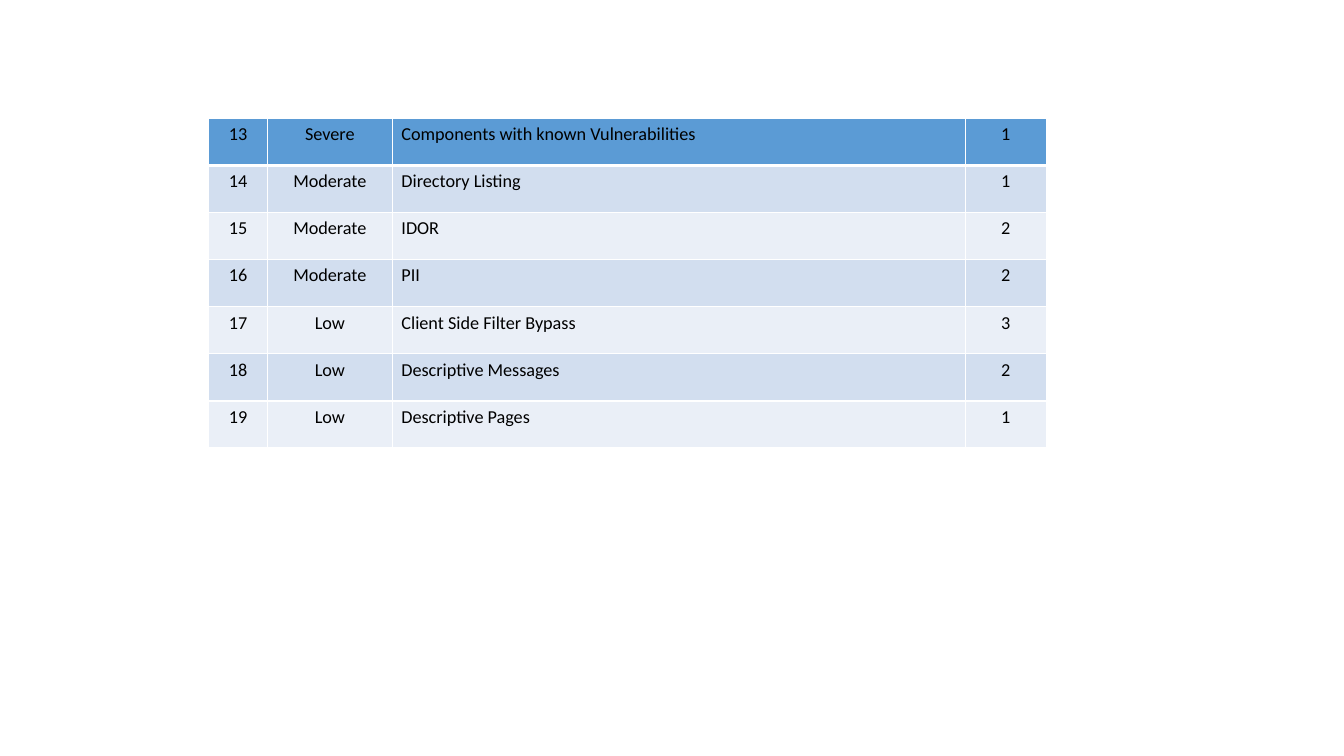
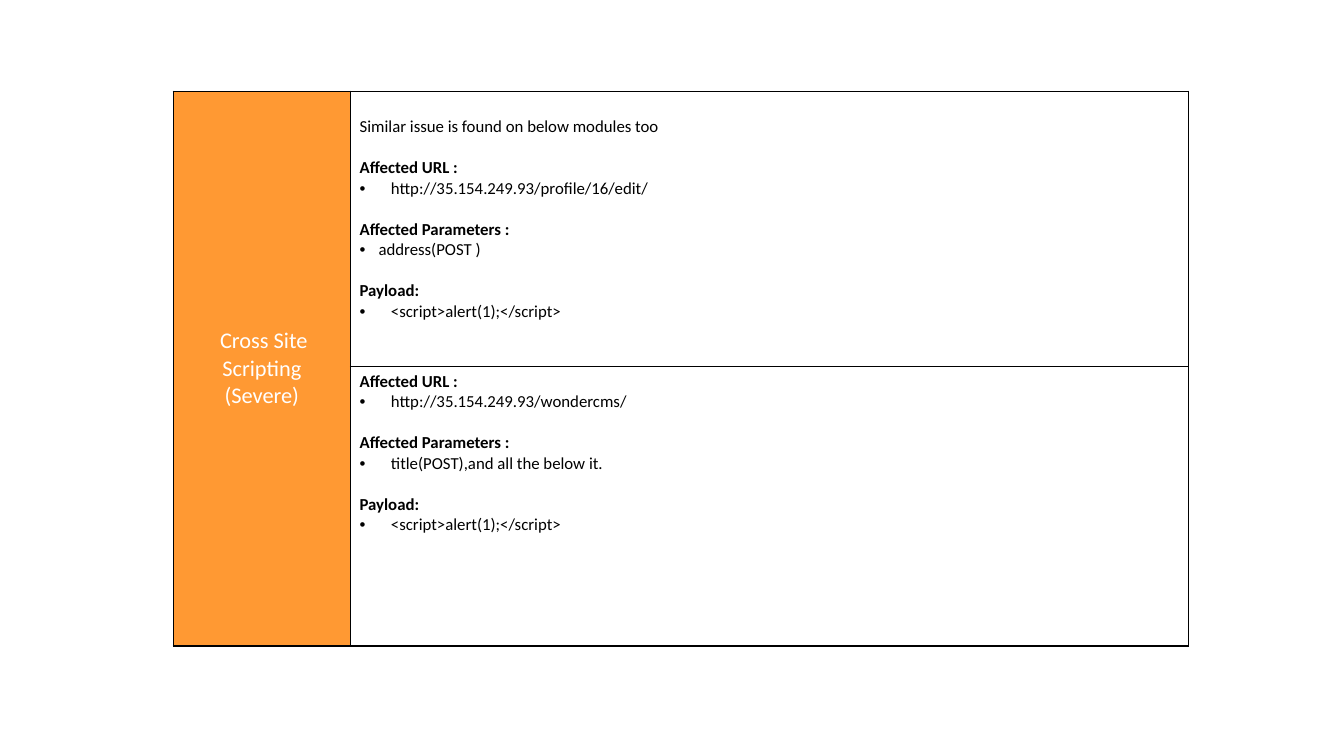
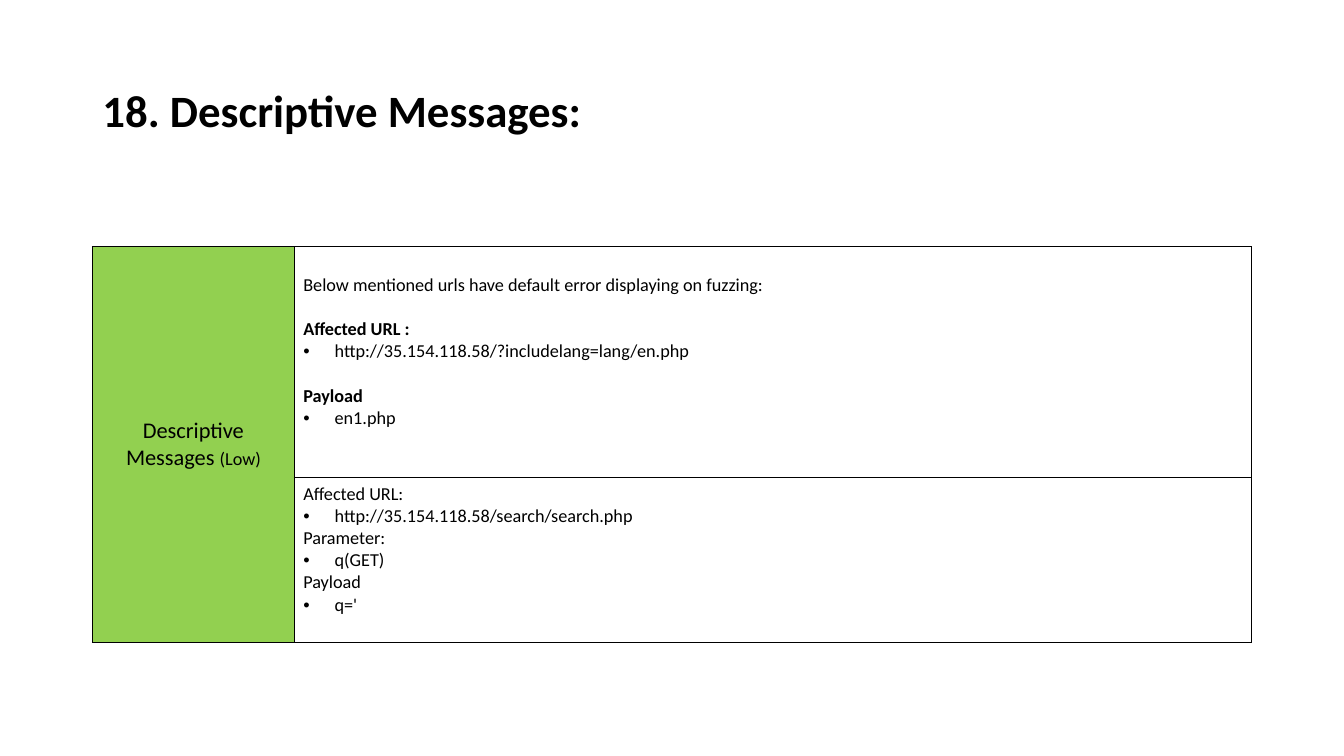
from lxml.etree import SubElement
from pptx import Presentation
from pptx.dml.color import RGBColor
from pptx.enum.text import MSO_ANCHOR, PP_ALIGN
from pptx.oxml import parse_xml
from pptx.oxml.ns import nsdecls, qn
from pptx.util import Pt

FONT = "Calibri"
BLACK, WHITE = "000000", "FFFFFF"
HEADER_BLUE, BAND_DARK, BAND_LIGHT = "5B9BD5", "D2DEEF", "EAEFF7"
SEVERE_ORANGE, LOW_GREEN = "FF9933", "92D050"
SIDE_INSET, TOP_INSET = 6.5, 3.6
LINE_HEIGHT = 1.22  # height of one Calibri line, as a share of its size


def rgb(hex_code):
    return RGBColor.from_string(hex_code)


def style_font(font, size, color=BLACK, bold=False):
    font.name, font.size, font.bold = FONT, Pt(size), bold
    font.color.rgb = rgb(color)


def set_borders(cell, color, **widths):
    """Draw the sides named L, R, T and B; a width of 0 hides a side."""
    properties = cell._tc.get_or_add_tcPr()
    for place, side in enumerate("LRTB"):
        width = widths.get(side, 1)
        line = (f'<a:solidFill><a:srgbClr val="{color}"/></a:solidFill>'
                if width else "<a:noFill/>")
        properties.insert(place, parse_xml(
            f'<a:ln{side} {nsdecls("a")} w="{Pt(width)}">{line}</a:ln{side}>'))


def style_cell(cell, fill, border, **widths):
    cell.margin_left = cell.margin_right = Pt(SIDE_INSET)
    cell.margin_top = cell.margin_bottom = Pt(TOP_INSET)
    if fill:
        cell.fill.solid()
        cell.fill.fore_color.rgb = rgb(fill)
    else:
        cell.fill.background()
    set_borders(cell, border, **widths)


def add_plain_table(slide, left, top, widths, heights):
    """Add a table without a banded style, sized by its columns and rows."""
    table = slide.shapes.add_table(
        len(heights), len(widths), Pt(left), Pt(top),
        Pt(sum(widths)), Pt(sum(heights))).table
    table.first_row = table.horz_banding = False
    for column, width in zip(table.columns, widths):
        column.width = Pt(width)
    for row, height in zip(table.rows, heights):
        row.height = Pt(height)
    return table


def add_summary(slide, left, top, findings):
    table = add_plain_table(slide, left, top, [41.8, 89.3, 409.2, 57.8],
                            [33.65] * len(findings))
    for row, finding in enumerate(findings):
        fill = (BAND_DARK if row % 2 else BAND_LIGHT) if row else HEADER_BLUE
        for column, value in enumerate(finding):
            cell = table.cell(row, column)
            style_cell(cell, fill, WHITE, B=1 if row else 2)
            paragraph = cell.text_frame.paragraphs[0]
            paragraph.text = str(value)
            paragraph.alignment = PP_ALIGN.LEFT if column == 2 else PP_ALIGN.CENTER
            style_font(paragraph.font, 13)


def add_bullet(paragraph, indent):
    properties = paragraph._p.get_or_add_pPr()
    properties.set("marL", str(Pt(indent)))
    properties.set("indent", str(-Pt(indent)))
    SubElement(properties, qn("a:buFont")).set("typeface", "Arial")
    SubElement(properties, qn("a:buChar")).set("char", "•")


def fill_details(cell, size, groups, intro=None, bold=True, spaced=True, indents=None):
    """Write an optional intro, then (heading, bullet) groups."""
    gap = size * LINE_HEIGHT
    lines = []
    if intro:
        cell.margin_top = Pt(TOP_INSET + gap)
        lines.append((intro, False, None))
    for heading, item in groups:
        lines.append((heading, bold, None))
        lines.append((item, False, (indents or {}).get(item, 22.4)))
    headings = {heading for heading, _ in groups}
    frame = cell.text_frame
    for index, (text, is_bold, indent) in enumerate(lines):
        paragraph = frame.add_paragraph() if index else frame.paragraphs[0]
        paragraph.text = text
        if index and spaced and text in headings:
            paragraph.space_before = Pt(gap)
        if indent:
            add_bullet(paragraph, indent)
        style_font(paragraph.font, size, bold=is_bold)


def fill_label(cell, parts, color):
    """Write (text, size) parts in one centred paragraph; "\\n" breaks the line."""
    cell.vertical_anchor = MSO_ANCHOR.MIDDLE
    paragraph = cell.text_frame.paragraphs[0]
    paragraph.alignment = PP_ALIGN.CENTER
    for text, size in parts:
        if text == "\n":
            paragraph.add_line_break()
            continue
        run = paragraph.add_run()
        run.text = text
        style_font(run.font, size, color)


def add_finding(slide, left, top, widths, heights, label, label_fill, label_color,
                size, details):
    """Add an open head row, then a severity label beside its details cells."""
    table = add_plain_table(slide, left, top, widths, heights)
    for head_cell in table.rows[0].cells:
        style_cell(head_cell, None, BLACK, L=0, R=0, T=0)
    for row, content in enumerate(details, start=1):
        style_cell(table.cell(row, 0), label_fill, BLACK)
        style_cell(table.cell(row, 1), WHITE, BLACK)
        fill_details(table.cell(row, 1), size, **content)
    label_cell = table.cell(1, 0)
    label_cell.merge(table.cell(len(details), 0))
    fill_label(label_cell, label, label_color)


def set_title(slide, text, left, top, width, height):
    title = slide.shapes.title
    title.left, title.top, title.width, title.height = map(Pt, (left, top, width, height))
    title.text_frame.vertical_anchor = MSO_ANCHOR.MIDDLE
    paragraph = title.text_frame.paragraphs[0]
    paragraph.text = text
    paragraph.alignment = PP_ALIGN.LEFT
    paragraph.line_spacing = 0.9
    style_font(paragraph.font, 32, bold=True)


def main():
    deck = Presentation()
    deck.slide_width, deck.slide_height = Pt(960), Pt(540)
    title_only, blank = deck.slide_layouts[5], deck.slide_layouts[6]

    add_summary(deck.slides.add_slide(blank), 149.2, 84.5, [
        (13, "Severe", "Components with known Vulnerabilities", 1),
        (14, "Moderate", "Directory Listing", 1),
        (15, "Moderate", "IDOR", 2),
        (16, "Moderate", "PII", 2),
        (17, "Low", "Client Side Filter Bypass", 3),
        (18, "Low", "Descriptive Messages", 2),
        (19, "Low", "Descriptive Pages", 1),
    ])

    payload = ("Payload:", "<script>alert(1);</script>")
    add_finding(
        deck.slides.add_slide(blank), 123.7, 35.8, [126.7, 598.7], [29.4, 196.4, 199.8],
        [(" ", 12), ("Cross Site Scripting", 16), ("\n", 16), ("(Severe)", 16)],
        SEVERE_ORANGE, WHITE, 12, [
            dict(intro="Similar issue is found on below modules too",
                 groups=[("Affected URL :", "http://35.154.249.93/profile/16/edit/"),
                         ("Affected Parameters :", "address(POST )"), payload],
                 indents={"address(POST )": 13.5}),
            dict(groups=[("Affected URL :", "http://35.154.249.93/wondercms/"),
                         ("Affected Parameters :", "title(POST),and all the below it."),
                         payload]),
        ])

    messages = deck.slides.add_slide(title_only)
    set_title(messages, "18. Descriptive Messages:", 66, 28.8, 828, 104.4)
    add_finding(
        messages, 66.1, 144, [144.1, 683.8], [32.3, 165, 117.5],
        [("Descriptive Messages ", 16), ("(Low)", 13)], LOW_GREEN, BLACK, 13, [
            dict(intro="Below mentioned urls have default error displaying on fuzzing:",
                 groups=[("Affected URL :", "http://35.154.118.58/?includelang=lang/en.php"),
                         ("Payload", "en1.php")]),
            dict(groups=[("Affected URL:", "http://35.154.118.58/search/search.php"),
                         ("Parameter:", "q(GET)"), ("Payload", "q='")],
                 bold=False, spaced=False),
        ])

    deck.save("out.pptx")


if __name__ == "__main__":
    main()
